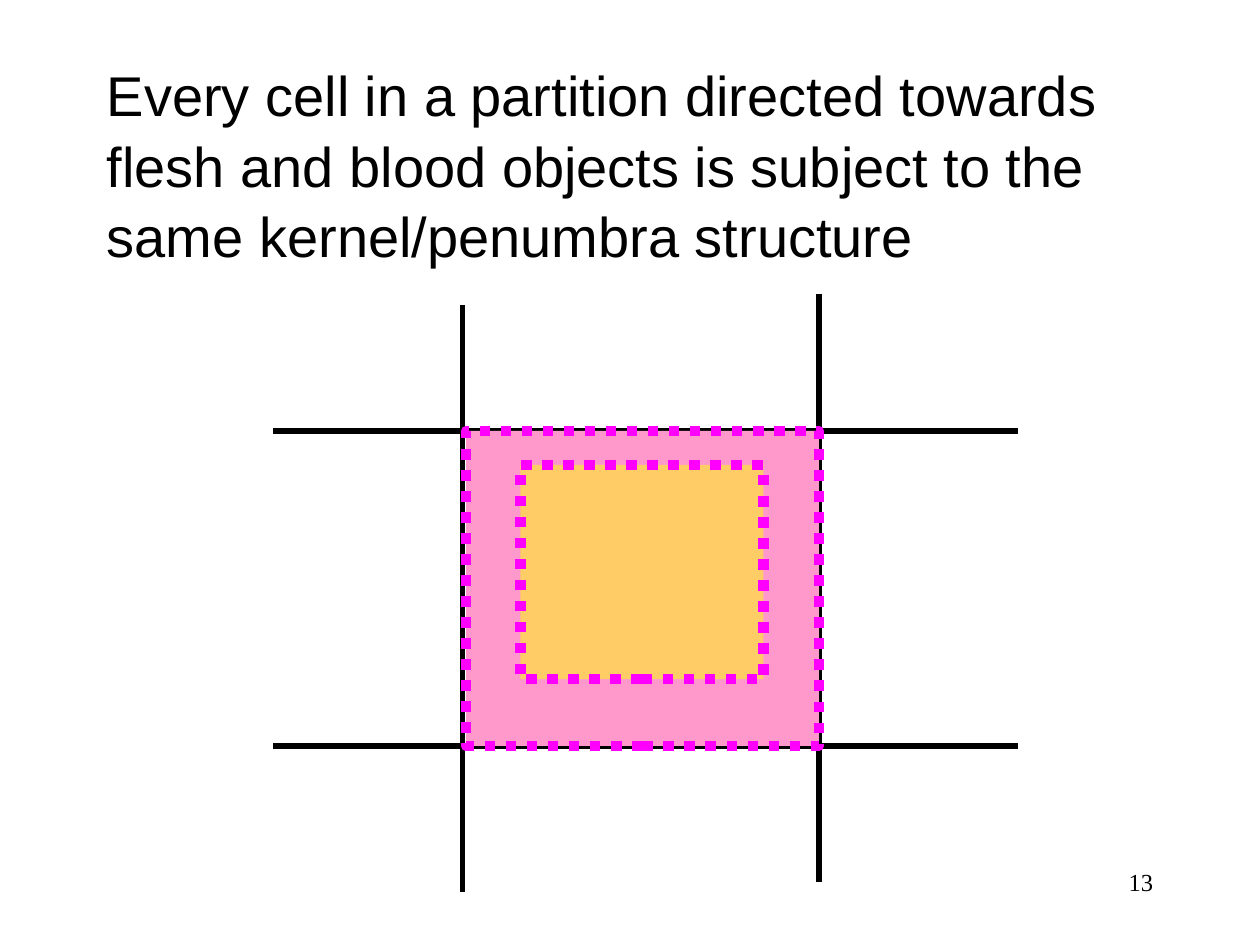
from dataclasses import dataclass

from pptx import Presentation
from pptx.dml.color import RGBColor
from pptx.enum.dml import MSO_LINE as Dash
from pptx.enum.shapes import MSO_CONNECTOR as Link, MSO_SHAPE as Form
from pptx.enum.text import MSO_ANCHOR as Anchor, PP_ALIGN as Align
from pptx.oxml.ns import qn
from pptx.util import Pt
from lxml.etree import SubElement

PX = 9144  # EMU per px, 100 px to the inch

BLACK = RGBColor(0x00, 0x00, 0x00)
PINK = RGBColor(0xFF, 0x99, 0xCC)
YELLOW = RGBColor(0xFF, 0xFF, 0x00)
MAGENTA = RGBColor(0xFF, 0x00, 0xFF)


@dataclass
class Rule:
    x1: int
    y1: int
    x2: int
    y2: int


@dataclass
class Zone:
    x: int
    y: int
    w: int
    h: int
    fill: RGBColor
    alpha: int = 100


@dataclass
class Label:
    x: int
    y: int
    w: int
    h: int
    text: str
    font: str
    size: int
    align: Align = Align.LEFT
    anchor: Anchor = Anchor.TOP
    pitch: float = 1.0


# Grid lines that bound the middle cell
TOP, BOTTOM, LEFT, RIGHT = 342, 592, 367, 650
RULES = [Rule(217, y, 808, y) for y in (TOP, BOTTOM)] + [
    Rule(LEFT, 242, LEFT, 708),
    Rule(RIGHT, 233, RIGHT, 700),
]

# Penumbra first, kernel on top of it
ZONES = [
    Zone(370, TOP, RIGHT - 370, BOTTOM - TOP, PINK),
    Zone(413, 369, 193, 170, YELLOW, alpha=50),
]

TITLE = Label(
    75, 67, 850, 125,
    "Every cell in a partition directed towards flesh and blood objects "
    "is subject to the same kernel/penumbra structure",
    "Arial", 32, anchor=Anchor.MIDDLE, pitch=1.05,
)
NUMBER = Label(717, 683, 208, 50, "13", "Times New Roman", 14, Align.RIGHT)


def px(*vals: int) -> list[int]:
    return [val * PX for val in vals]


def draw_rule(shapes, rule: Rule) -> None:
    line = shapes.add_connector(
        Link.STRAIGHT, *px(rule.x1, rule.y1, rule.x2, rule.y2))
    line.line.color.rgb = BLACK
    line.line.width = Pt(3)
    SubElement(line._element.spPr, qn("a:effectLst"))


def draw_zone(shapes, zone: Zone) -> None:
    rect = shapes.add_shape(
        Form.RECTANGLE, *px(zone.x, zone.y, zone.w, zone.h))
    rect.shadow.inherit = False
    rect.fill.solid()
    rect.fill.fore_color.rgb = zone.fill
    if zone.alpha < 100:
        tint = rect._element.spPr.find(qn("a:solidFill"))[0]
        SubElement(tint, qn("a:alpha"), val=str(zone.alpha * 1000))
    rect.line.color.rgb = MAGENTA
    rect.line.width = Pt(6)
    rect.line.dash_style = Dash.ROUND_DOT  # stored as sysDot


def draw_label(shapes, label: Label) -> None:
    box = shapes.add_textbox(*px(label.x, label.y, label.w, label.h))
    frame = box.text_frame
    frame.word_wrap = True
    frame.vertical_anchor = label.anchor
    frame.text = label.text
    para = frame.paragraphs[0]
    para.alignment = label.align
    para.line_spacing = label.pitch
    font = para.runs[0].font
    font.name = label.font
    font.size = Pt(label.size)
    font.color.rgb = BLACK


def main() -> None:
    deck = Presentation()
    deck.slide_width, deck.slide_height = px(1000, 750)
    shapes = deck.slides.add_slide(deck.slide_layouts[6]).shapes

    # Title
    draw_label(shapes, TITLE)

    # Partition grid
    for rule in RULES:
        draw_rule(shapes, rule)

    # Cell with penumbra and kernel
    cell = shapes.add_group_shape()
    for zone in ZONES:
        draw_zone(cell.shapes, zone)

    # Slide number
    draw_label(shapes, NUMBER)

    deck.save("out.pptx")


if __name__ == "__main__":
    main()
